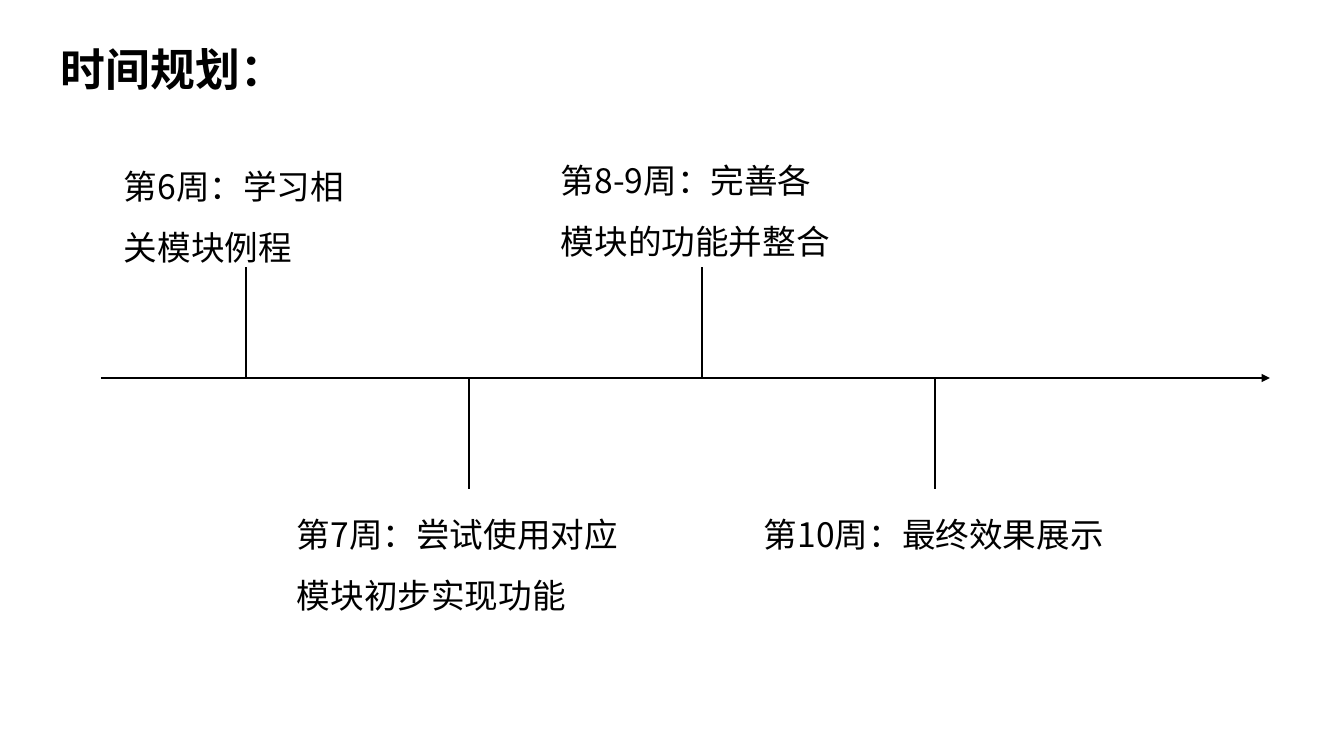
from pptx import Presentation
from pptx import util as u
from pptx.dml.color import RGBColor
from pptx.enum import shapes, text
from pptx.oxml.ns import qn
from lxml import etree

COLORS = {"ink": "000000", "paper": "FFFFFF"}
SCALE = 914400 / 100.8


def px(length):
    return u.Emu(round(length * SCALE))


class Sheet:
    font = "Noto Sans CJK SC"
    line_width = u.Pt(1.5)
    spacing = 1.5

    def __init__(self, deck):
        self.page = deck.slides.add_slide(deck.slide_layouts[6])
        fill = self.page.background.fill
        fill.solid()
        fill.fore_color.rgb = RGBColor.from_string(COLORS["paper"])

    def label(self, words, left, top, width, height, size=24, bold=False):
        box = self.page.shapes.add_textbox(px(left), px(top), px(width), px(height))
        frame = box.text_frame
        frame.word_wrap = True
        frame.auto_size = text.MSO_AUTO_SIZE.SHAPE_TO_FIT_TEXT
        frame.text = words
        para = frame.paragraphs[0]
        para.line_spacing = self.spacing
        span = para.runs[0]
        span.font.name = self.font
        span.font.size = u.Pt(size)
        span.font.bold = bold
        span.font.color.rgb = RGBColor.from_string(COLORS["ink"])
        latin = span.font._element.find(qn("a:latin"))
        east_asian = etree.Element(qn("a:ea"), typeface=self.font)
        latin.addnext(east_asian)

    def line(self, x1, y1, x2, y2, arrow=False):
        connector = self.page.shapes.add_connector(
            shapes.MSO_CONNECTOR.STRAIGHT, px(x1), px(y1), px(x2), px(y2))
        connector.line.width = self.line_width
        connector.line.color.rgb = RGBColor.from_string(COLORS["ink"])
        if arrow:
            etree.SubElement(connector.line._get_or_add_ln(), qn("a:tailEnd"), type="triangle")
        etree.SubElement(connector._element.spPr, qn("a:effectLst"))


AXIS_Y = 378
TICK = 111
MILESTONES = [
    (246, -1, "第6周：学习相关模块例程", (114, 141, 265, 126)),
    (469, 1, "第7周：尝试使用对应模块初步实现功能", (287, 489, 363, 126)),
    (702, -1, "第8-9周：完善各模块的功能并整合", (551, 135, 302, 126)),
    (935, 1, "第10周：最终效果展示", (754, 489, 363, 66)),
]

deck = Presentation()
deck.slide_width, deck.slide_height = px(1344), px(756)
sheet = Sheet(deck)

sheet.line(101, AXIS_Y, 1270, AXIS_Y, arrow=True)
for x, side, words, area in MILESTONES:
    sheet.line(x, AXIS_Y, x, AXIS_Y + side * TICK)
    sheet.label(words, *area)
sheet.label("时间规划：", 51, 10, 910, 84, size=32, bold=True)

deck.save("out.pptx")
